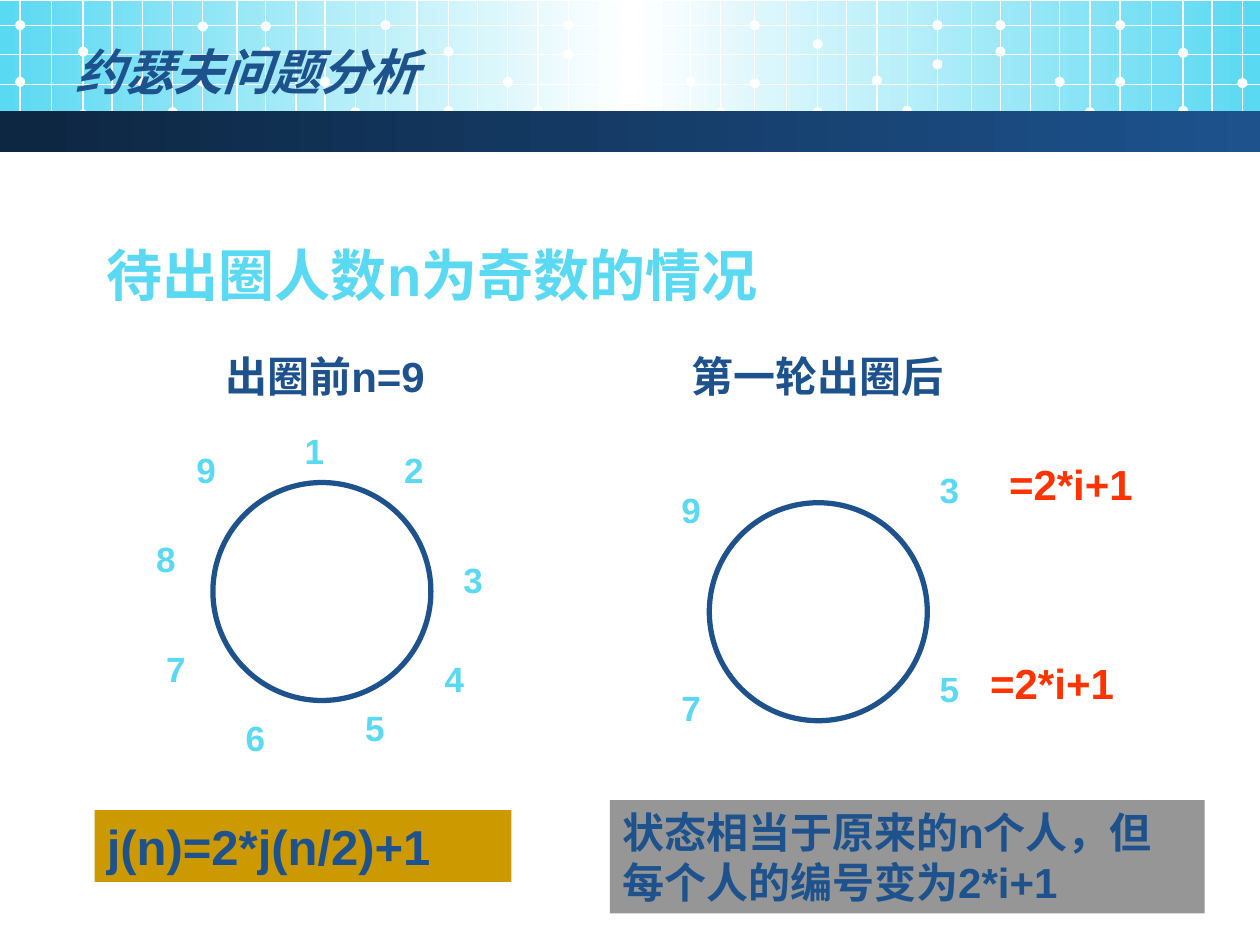
"""Builds the slide on the Josephus problem with an odd number of people."""
import copy

import lxml.etree
import pptx
import pptx.dml.color
import pptx.enum.shapes
import pptx.enum.text
import pptx.oxml.ns
import pptx.util

Inches = pptx.util.Inches
SHAPES = pptx.enum.shapes.MSO_SHAPE
NAVY, CYAN, WHITE, RED = "1D528D", "5AD9F2", "FFFFFF", "FF3300"
GREY, GOLD = "969696", "CC9900"


def colour(code):
    return pptx.dml.color.RGBColor.from_string(code)


def write(frame, text, size, code, anchor, name="Arial", italic=False):
    frame_format = {"word_wrap": True, "vertical_anchor": anchor}
    for key, value in frame_format.items():
        setattr(frame, key, value)
    para = frame.paragraphs[0]
    para.alignment = pptx.enum.text.PP_ALIGN.LEFT
    span = para.add_run()
    span.text = text
    span_format = {"name": name, "size": pptx.util.Pt(size), "bold": True, "italic": italic}
    for key, value in span_format.items():
        setattr(span.font, key, value)
    span.font.color.rgb = colour(code)


deck = pptx.Presentation()
deck.slide_width, deck.slide_height = Inches(10), Inches(7.5)
page = deck.slides.add_slide(deck.slide_layouts[5])
shapes = page.shapes

column_offsets = [0, 0.25, 0.5, 0.73, 0.97, 1.21, 1.45, 1.72, 1.95, 2.19, 2.42, 2.66]
block_lefts = [0.16, 3.06, 5.99, 8.89]
columns = [left + offset for left in block_lefts for offset in column_offsets if left + offset < 10]
grid = [(x, 0, x, 1.1) for x in columns] + [(0, y, 10, y) for y in (0.2, 0.43, 0.67, 0.89)]

dot_columns = [0, 0, 2, 2, 4, 5, 6, 6, 8, 8, 10, 11]
dot_tops = [
    [0.61, 0.16, 0.37, 0.87, 0.61, 0.85, 0.61, 0.17, 0.37, 0.17, 0.61, 0.85],
    [0.61, 0.16, 0.37, 0.84, 0.61, 0.84, 0.39, 0.16, 0.38, 0.16, 0.61, 0.85],
    [0.62, 0.16, 0.31, 0.85, 0.6, 0.84, 0.47, 0.16, 0.37, 0.16, 0.61, 0.85],
    [0.61, 0.16, 0.38, 0.84, 0.62],
]

bands = [(0.01, 1.02, [CYAN, WHITE, CYAN]), (0.88, 0.33, ["0D2641", NAVY])]
for top, height, stop_codes in bands:
    band = shapes.add_shape(SHAPES.RECTANGLE, 0, Inches(top), Inches(10), Inches(height))
    band.shadow.inherit = False
    band.line.fill.background()
    band.fill.gradient()
    band.fill.gradient_angle = 0
    if len(stop_codes) == 3:
        last_stop = band.element.findall(".//" + pptx.oxml.ns.qn("a:gs"))[-1]
        last_stop.addnext(copy.deepcopy(last_stop))
    for index, (stop, code) in enumerate(zip(band.fill.gradient_stops, stop_codes)):
        stop.position = index / (len(stop_codes) - 1)
        stop.color.rgb = colour(code)
    if top > 0.5:
        continue
    for ends in grid:
        line = shapes.add_connector(
            pptx.enum.shapes.MSO_CONNECTOR.STRAIGHT, *[Inches(end) for end in ends])
        line.line.color.rgb = colour(WHITE)
        line.line.width = pptx.util.Pt(0.75)
        properties = line.element.find(pptx.oxml.ns.qn("p:spPr"))
        lxml.etree.SubElement(properties, pptx.oxml.ns.qn("a:effectLst"))
    for block_left, tops in zip(block_lefts, dot_tops):
        for column, dot_top in zip(dot_columns, tops):
            dot_left = block_left + column_offsets[column] - 0.04
            dot = shapes.add_shape(
                SHAPES.OVAL, Inches(dot_left), Inches(dot_top), Inches(0.08), Inches(0.08))
            dot.shadow.inherit = False
            dot.fill.solid()
            dot.fill.fore_color.rgb = colour(WHITE)
            dot.line.fill.background()

title = shapes.title
title_place = {"left": 0.5, "top": 0.25, "width": 8.08, "height": 0.62}
for key, value in title_place.items():
    setattr(title, key, Inches(value))
write(title.text_frame, "约瑟夫问题分析", 28, NAVY,
      pptx.enum.text.MSO_ANCHOR.MIDDLE, "DejaVu Sans", True)
shapes.element.append(title.element)

for left, top in [(1.69, 3.83), (5.63, 3.99)]:
    circle = shapes.add_shape(SHAPES.OVAL, Inches(left), Inches(top), Inches(1.73), Inches(1.73))
    circle.shadow.inherit = False
    circle.fill.background()
    circle.line.color.rgb = colour(NAVY)
    circle.line.width = pptx.util.Pt(3)

people = [
    ("1", 2.32, 3.36), ("2", 3.11, 3.51), ("3", 3.58, 4.38), ("4", 3.43, 5.17), ("5", 2.8, 5.56),
    ("6", 1.85, 5.64), ("7", 1.22, 5.09), ("8", 1.14, 4.22), ("9", 1.46, 3.51),
    ("3", 7.36, 3.67), ("5", 7.36, 5.25), ("7", 5.31, 5.4), ("9", 5.31, 3.83),
]
labels = [(text, left, top, 0.39, 0.44, 20, CYAN, None) for text, left, top in people]
labels += [
    ("待出圈人数n为奇数的情况", 0.75, 1.86, 6.53, 0.64, 32, CYAN, None),
    ("出圈前n=9", 1.69, 2.73, 2.44, 0.5, 24, NAVY, None),
    ("第一轮出圈后", 5.39, 2.73, 2.68, 0.5, 24, NAVY, None),
    ("=2*i+1", 7.91, 3.59, 1.85, 0.5, 24, RED, None),
    ("=2*i+1", 7.76, 5.17, 1.85, 0.5, 24, RED, None),
    ("状态相当于原来的n个人，但每个人的编号变为2*i+1", 4.84, 6.35, 4.72, 0.9, 24, NAVY, GREY),
    ("j(n)=2*j(n/2)+1", 0.75, 6.43, 3.31, 0.57, 28, NAVY, GOLD),
]
for text, left, top, width, height, size, code, fill in labels:
    place = [Inches(length) for length in (left, top, width, height)]
    if fill:
        box = shapes.add_shape(SHAPES.RECTANGLE, *place)
        box.shadow.inherit = False
        box.fill.solid()
        box.fill.fore_color.rgb = colour(fill)
        box.line.fill.background()
    else:
        box = shapes.add_textbox(*place)
    write(box.text_frame, text, size, code, pptx.enum.text.MSO_ANCHOR.TOP)
    box.text_frame.auto_size = pptx.enum.text.MSO_AUTO_SIZE.SHAPE_TO_FIT_TEXT

deck.save("out.pptx")
